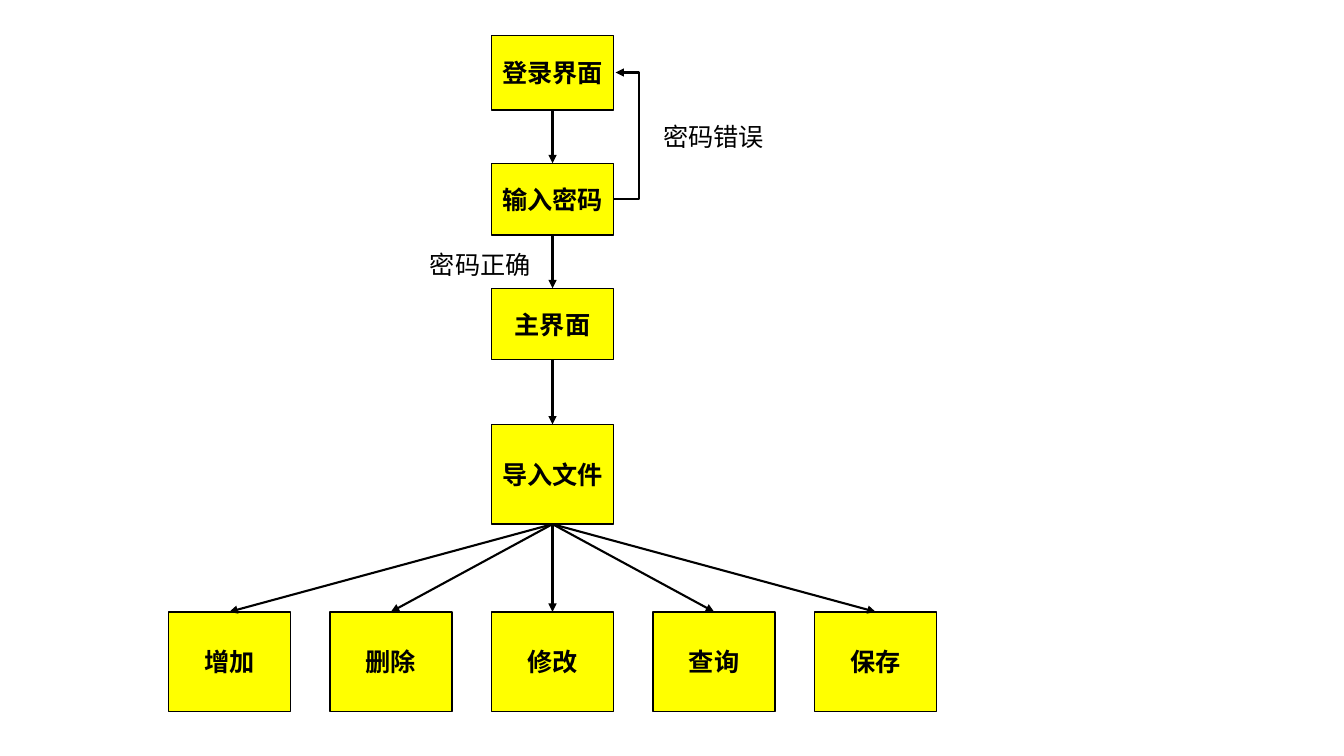
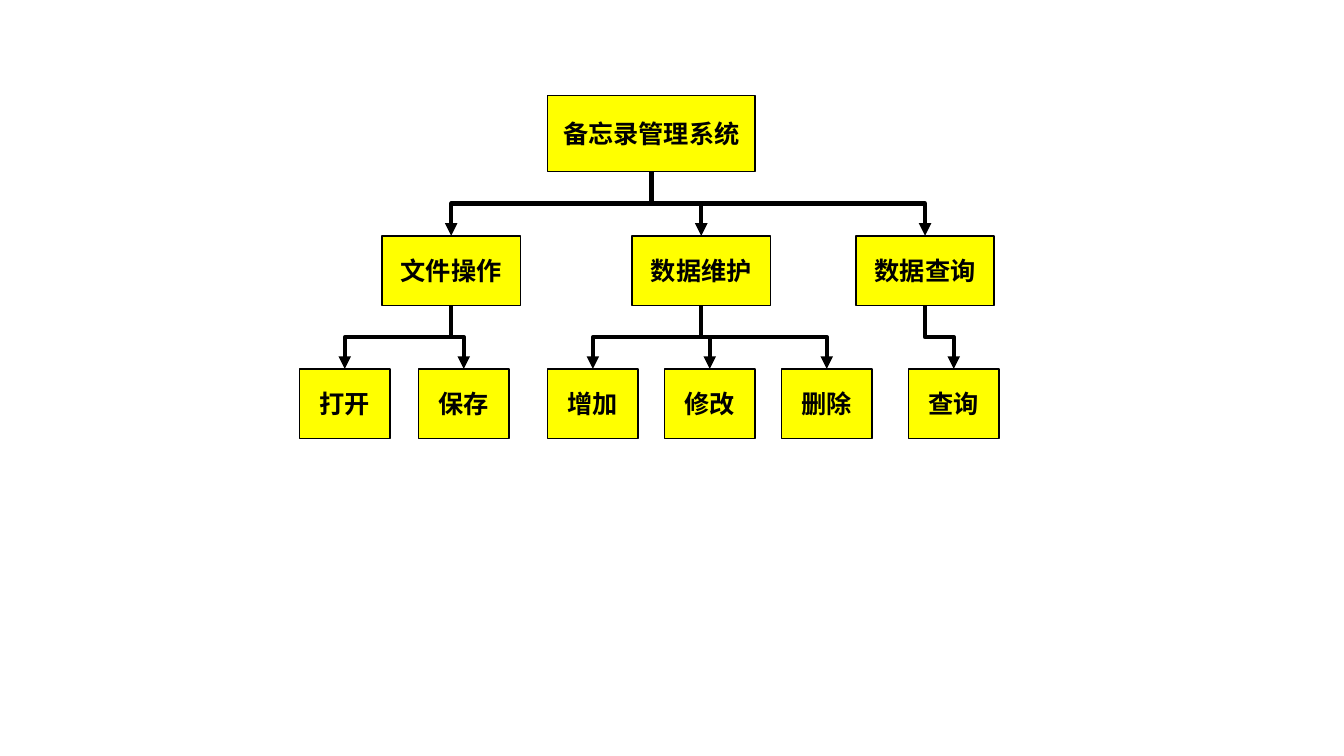
from dataclasses import dataclass

from lxml.etree import SubElement
from pptx import Presentation
from pptx.dml.color import RGBColor
from pptx.enum.shapes import MSO_CONNECTOR, MSO_SHAPE
from pptx.enum.text import MSO_ANCHOR, PP_ALIGN
from pptx.oxml.ns import qn
from pptx.util import Inches, Pt

FONT = "Noto Sans CJK SC"
BLACK = "000000"
YELLOW = "FFFF00"
TOP, BOTTOM, RIGHT = 0, 2, 3


@dataclass
class Box:
    left: float
    top: float
    width: float
    height: float


def paint(color_format, color):
    color_format.rgb = RGBColor.from_string(color)


def write(frame, text, bold=False, align=PP_ALIGN.LEFT):
    para = frame.paragraphs[0]
    para.text = text
    para.alignment = align
    font = para.font
    font.name, font.size, font.bold = FONT, Pt(18), bold
    font.fill.solid()
    paint(font.fill.fore_color, BLACK)
    # Chinese characters take the East Asian typeface
    defaults = para._p.pPr.find(qn("a:defRPr"))
    SubElement(defaults, qn("a:ea"), typeface=FONT)


def add_node(page, text, left, top, width, height):
    node = page.shapes.add_shape(
        MSO_SHAPE.RECTANGLE, Inches(left), Inches(top), Inches(width), Inches(height))
    node.shadow.inherit = False
    node.fill.solid()
    paint(node.fill.fore_color, YELLOW)
    node.line.width = Pt(1)
    paint(node.line.color, BLACK)
    frame = node.text_frame
    frame.margin_left = frame.margin_right = 0
    frame.vertical_anchor = MSO_ANCHOR.MIDDLE
    write(frame, text, bold=True, align=PP_ALIGN.CENTER)
    return node


def add_label(page, text, left, top):
    label = page.shapes.add_textbox(Inches(left), Inches(top), Inches(1.21), Inches(0.4))
    label.text_frame.word_wrap = False
    write(label.text_frame, text)


def add_arrow(page, kind, weight):
    """Add a black arrow whose ends are placed by the caller."""
    arrow = page.shapes.add_connector(kind, 0, 0, 0, 0)
    arrow.line.width = Pt(weight)
    paint(arrow.line.color, BLACK)
    SubElement(arrow.line._get_or_add_ln(), qn("a:tailEnd"), type="triangle")
    SubElement(arrow._element.spPr, qn("a:effectLst"))
    return arrow


def place_ends(arrow, begin, end):
    arrow.begin_x, arrow.begin_y = (int(value) for value in begin)
    arrow.end_x, arrow.end_y = (int(value) for value in end)


def join_down(page, parent, child, kind=MSO_CONNECTOR.STRAIGHT, weight=1.5):
    """Join the bottom of the parent to the top of the child."""
    arrow = add_arrow(page, kind, weight)
    arrow.begin_connect(parent, BOTTOM)
    arrow.end_connect(child, TOP)
    return arrow


def join_elbow(page, parent, child):
    """Join downwards with an elbow, turned so that it leaves vertically."""
    arrow = join_down(page, parent, child, MSO_CONNECTOR.ELBOW, 3)
    across, down = arrow.end_x - arrow.begin_x, arrow.end_y - arrow.begin_y
    middle_x = (arrow.begin_x + arrow.end_x) / 2
    middle_y = (arrow.begin_y + arrow.end_y) / 2
    half_down = down / 2 if across > 0 else -down / 2
    half_across = abs(across) / 2
    place_ends(arrow, (middle_x + half_down, middle_y - half_across),
               (middle_x - half_down, middle_y + half_across))
    arrow.rotation = 270 if across > 0 else 90


def join_back(page, source, target, bulge=0.25, gap=0.02):
    """Loop from the right side of the source back up to the target."""
    arrow = add_arrow(page, MSO_CONNECTOR.ELBOW, 1.5)
    arrow.begin_connect(source, RIGHT)
    place_ends(arrow, (arrow.begin_x, arrow.begin_y),
               (target.left + target.width + Inches(gap), target.top + target.height / 2))
    guides = arrow._element.spPr.find(qn("a:prstGeom")).get_or_add_avLst()
    SubElement(guides, qn("a:gd"), name="adj1", fmla=f"val {round(bulge / gap * 100000)}")


def draw_login_flow(page, box):
    node_width, action_height = 1.21, 0.99
    actions = ["增加", "删除", "修改", "查询", "保存"]
    pitch = (box.width - node_width) / (len(actions) - 1)
    center_left = box.left + 2 * pitch
    steps = [("登录界面", 0, 0.74), ("输入密码", 1.27, 0.71),
             ("主界面", 2.51, 0.71), ("导入文件", 3.86, action_height)]
    chain = [add_node(page, text, center_left, box.top + offset, node_width, height)
             for text, offset, height in steps]
    for upper, lower in zip(chain, chain[1:]):
        join_down(page, upper, lower)

    action_top = box.top + box.height - action_height
    for column, text in enumerate(actions):
        action = add_node(page, text, box.left + column * pitch, action_top,
                          node_width, action_height)
        join_down(page, chain[-1], action)

    join_back(page, chain[1], chain[0])
    add_label(page, "密码正确", center_left - 0.71, box.top + 2.07)
    add_label(page, "密码错误", center_left + pitch, box.top + 0.8)


def draw_function_tree(page, box):
    node_height = 0.69
    branch_top, leaf_top = box.top + 1.39, box.top + box.height - node_height
    branches = [
        ("文件操作", 0.82, [("打开", 0), ("保存", 1.18)]),
        ("数据维护", 3.3, [("增加", 2.46), ("修改", 3.62), ("删除", 4.78)]),
        ("数据查询", 5.52, [("查询", 6.04)]),
    ]
    root = add_node(page, "备忘录管理系统", box.left + 2.46, box.top, 2.06, 0.75)
    for text, offset, leaves in branches:
        branch = add_node(page, text, box.left + offset, branch_top, 1.37, node_height)
        join_elbow(page, root, branch)
        for leaf_text, leaf_offset in leaves:
            leaf = add_node(page, leaf_text, box.left + leaf_offset, leaf_top,
                            0.9, node_height)
            join_elbow(page, branch, leaf)


def main():
    deck = Presentation()
    deck.slide_width, deck.slide_height = Inches(13.33), Inches(7.5)
    blank = deck.slide_layouts[6]
    draw_login_flow(deck.slides.add_slide(blank), Box(1.67, 0.35, 7.62, 6.71))
    draw_function_tree(deck.slides.add_slide(blank), Box(2.97, 0.95, 6.94, 3.4))
    deck.save("out.pptx")


if __name__ == "__main__":
    main()
